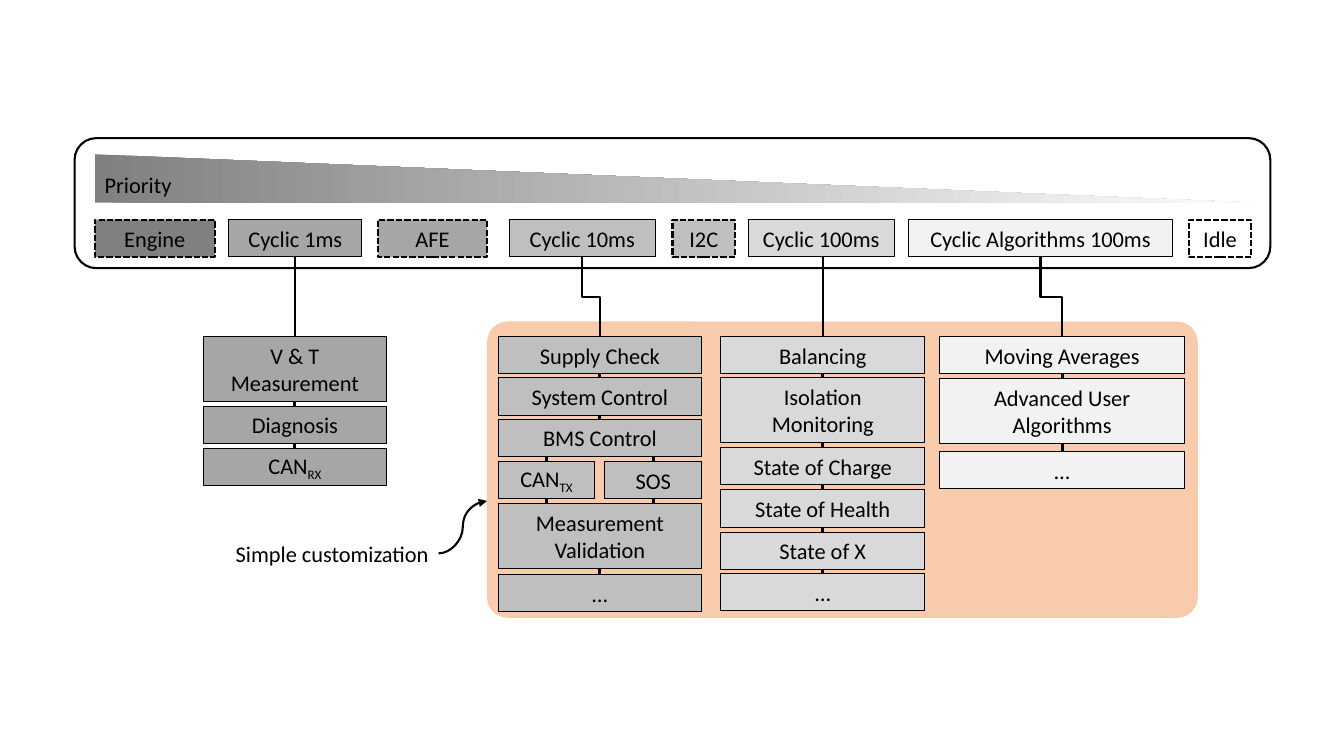
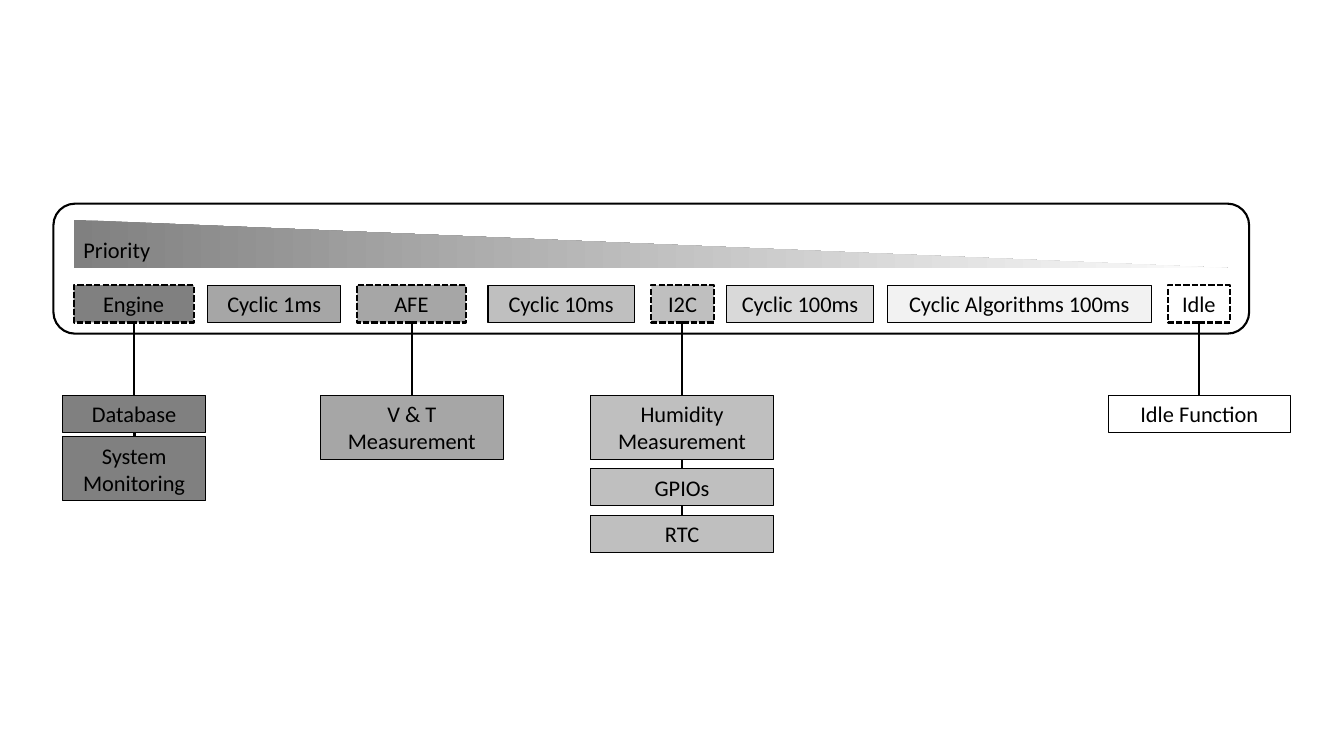
import copy
import dataclasses

import lxml.etree
import pptx
import pptx.dml.color
import pptx.enum.dml
import pptx.enum.shapes
import pptx.enum.text
import pptx.oxml.ns
import pptx.slide
import pptx.util

Inches = pptx.util.Inches
Pt = pptx.util.Pt
SHAPE = pptx.enum.shapes.MSO_SHAPE
CONNECTOR = pptx.enum.shapes.MSO_CONNECTOR
ALIGN = pptx.enum.text.PP_ALIGN
ANCHOR = pptx.enum.text.MSO_ANCHOR
qn = pptx.oxml.ns.qn

# Shared look
COLORS = {
    "ink": "000000",
    "highest": "808080",
    "high": "A6A6A6",
    "medium": "BFBFBF",
    "low": "D9D9D9",
    "lowest": "F2F2F2",
    "white": "FFFFFF",
    "custom": "F8CBAD",
}
FONT = "Calibri"
TEXT_SIZE = 16
ROW_HEIGHT = {1: 0.37, 2: 0.64}  # by number of text lines
SPLIT_GAP = 0.1


@dataclasses.dataclass(frozen=True)
class Task:
    """A task in the priority band; left is measured from the band's edge."""
    label: str
    left: float
    width: float
    color: str
    dashed: bool = False


@dataclasses.dataclass(frozen=True)
class Job:
    label: str
    subscript: str = ""
    lines: int = 1


@dataclasses.dataclass(frozen=True)
class Stack:
    """Jobs run by one task, as rows of one or more jobs."""
    task: str
    left: float
    width: float
    rows: list[list[Job]]
    gaps: tuple[float, ...] = ()
    link_width: float = 2.25


TASKS = [
    Task("Engine", 0.2, 1.19, "highest", True),
    Task("Cyclic 1ms", 1.53, 1.32, "high"),
    Task("AFE", 3.01, 1.08, "high", True),
    Task("Cyclic 10ms", 4.31, 1.45, "medium"),
    Task("I2C", 5.93, 0.62, "medium", True),
    Task("Cyclic 100ms", 6.68, 1.45, "low"),
    Task("Cyclic Algorithms 100ms", 8.27, 2.62, "lowest"),
    Task("Idle", 11.05, 0.62, "white", True),
]
TASK_BY_LABEL = {task.label: task for task in TASKS}
TASK_TOP = 0.81

CYCLIC_STACKS = [
    Stack("Cyclic 1ms", 2.02, 1.81, [
        [Job("V & T Measurement", lines=2)],
        [Job("Diagnosis")],
        [Job("CAN", "RX")],
    ]),
    Stack("Cyclic 10ms", 4.94, 2.02, [
        [Job("Supply Check")],
        [Job("System Control")],
        [Job("BMS Control")],
        [Job("CAN", "TX"), Job("SOS")],
        [Job("Measurement Validation", lines=2)],
        [Job("…")],
    ], gaps=(0.04, 0.04, 0.05, 0.05, 0.06)),
    Stack("Cyclic 100ms", 7.15, 2.02, [
        [Job("Balancing")],
        [Job("Isolation Monitoring", lines=2)],
        [Job("State of Charge")],
        [Job("State of Health")],
        [Job("State of X")],
        [Job("…")],
    ], gaps=(0.04, 0.05, 0.05, 0.05, 0.04)),
    Stack("Cyclic Algorithms 100ms", 9.32, 2.43, [
        [Job("Moving Averages")],
        [Job("Advanced User Algorithms", lines=2)],
        [Job("…")],
    ], gaps=(0.05, 0.08)),
]

EVENT_STACKS = [
    Stack("Engine", 0.62, 1.42, [
        [Job("Database")],
        [Job("System Monitoring", lines=2)],
    ], gaps=(0.04,)),
    Stack("AFE", 3.18, 1.81, [[Job("V & T Measurement", lines=2)]]),
    Stack("I2C", 5.86, 1.81, [
        [Job("Humidity Measurement", lines=2)],
        [Job("GPIOs")],
        [Job("RTC")],
    ], gaps=(0.09, 0.09), link_width=1.25),
    Stack("Idle", 10.99, 1.81, [[Job("Idle Function")]]),
]


def rgb(color: str) -> pptx.dml.color.RGBColor:
    return pptx.dml.color.RGBColor.from_string(COLORS[color])


def write(shape, text: str, align, anchor, subscript: str = "") -> None:
    frame = shape.text_frame
    frame.word_wrap = True
    frame.vertical_anchor = anchor
    paragraph = frame.paragraphs[0]
    paragraph.alignment = align
    for part, baseline in ((text, 0), (subscript, -25000)):
        if not part:
            continue
        run = paragraph.add_run()
        run.text = part
        run.font.name = FONT
        run.font.size = Pt(TEXT_SIZE)
        run.font.color.rgb = rgb("ink")
        if baseline:
            run.font._element.set("baseline", str(baseline))


def add_block(slide: pptx.slide.Slide, kind, left: float, top: float, width: float,
              height: float, fill: str = "", line_width: float = 0):
    block = slide.shapes.add_shape(
        kind, Inches(left), Inches(top), Inches(width), Inches(height))
    block.shadow.inherit = False
    if fill:
        block.fill.solid()
        block.fill.fore_color.rgb = rgb(fill)
    else:
        block.fill.background()
    if line_width:
        block.line.color.rgb = rgb("ink")
        block.line.width = Pt(line_width)
    else:
        block.line.fill.background()
    return block


def add_line(slide: pptx.slide.Slide, kind, x1: float, y1: float, x2: float,
             y2: float, width: float):
    line = slide.shapes.add_connector(kind, Inches(x1), Inches(y1), Inches(x2), Inches(y2))
    line.line.color.rgb = rgb("ink")
    line.line.width = Pt(width)
    lxml.etree.SubElement(line._element.spPr, qn("a:effectLst"))
    return line


def add_drop(slide: pptx.slide.Slide, x1: float, y1: float, x2: float, y2: float,
             width: float) -> None:
    """Link a task down to its stack, with a vertical-first elbow if they are offset."""
    if abs(x2 - x1) < 0.05:
        add_line(slide, CONNECTOR.STRAIGHT, x2, y1, x2, y2, width)
        return
    mid_x, mid_y = (x1 + x2) / 2, (y1 + y2) / 2
    half_run, half_rise = (y2 - y1) / 2, (x2 - x1) / 2
    elbow = add_line(slide, CONNECTOR.ELBOW, mid_x - half_run, mid_y - half_rise,
                     mid_x + half_run, mid_y + half_rise, width)
    xfrm = elbow._element.spPr.find(qn("a:xfrm"))
    xfrm.set("rot", "16200000")
    xfrm.set("flipH", "1")


def add_priority_band(slide: pptx.slide.Slide, left: float, top: float) -> None:
    add_block(slide, SHAPE.ROUNDED_RECTANGLE, left, top, 11.86, 1.29, line_width=1.5)

    # Wedge fading from high to low priority
    wedge = add_block(slide, SHAPE.ISOSCELES_TRIANGLE, left + 0.2, top + 0.16, 11.47, 0.48)
    wedge.adjustments[0] = 0
    wedge.fill.gradient()
    wedge.fill.gradient_angle = 0
    start, end = wedge.fill.gradient_stops
    start.color.rgb, start.position = rgb("highest"), 0
    end.color.rgb, end.position = rgb("lowest"), 0.9
    stop_list = wedge._element.spPr.find(qn("a:gradFill")).find(qn("a:gsLst"))
    stop_list.append(copy.deepcopy(stop_list[-1]))
    last = wedge.fill.gradient_stops[2]
    last.color.rgb, last.position = rgb("white"), 1
    write(wedge, "Priority", ALIGN.LEFT, ANCHOR.BOTTOM)

    for task in TASKS:
        box = add_block(slide, SHAPE.RECTANGLE, left + task.left, top + TASK_TOP,
                        task.width, ROW_HEIGHT[1], task.color, 1.5 if task.dashed else 0.75)
        if task.dashed:
            box.line.dash_style = pptx.enum.dml.MSO_LINE.SQUARE_DOT
        write(box, task.label, ALIGN.CENTER, ANCHOR.MIDDLE)


def row_cells(stack: Stack, row: list[Job]) -> list[tuple[float, float]]:
    """Left edge and width of each job in a row."""
    width = (stack.width - SPLIT_GAP * (len(row) - 1)) / len(row)
    return [(stack.left + i * (width + SPLIT_GAP), width) for i in range(len(row))]


def add_stack(slide: pptx.slide.Slide, stack: Stack, top: float) -> None:
    above: list[Job] = []
    bottom = top
    for index, row in enumerate(stack.rows):
        if above:
            gap = stack.gaps[index - 1] if stack.gaps else 0.05
            top = bottom + gap
            for left, width in row_cells(stack, max(above, row, key=len)):
                center = left + width / 2
                add_line(slide, CONNECTOR.STRAIGHT, center, bottom, center, top,
                         stack.link_width)
        height = ROW_HEIGHT[max(job.lines for job in row)]
        for job, (left, width) in zip(row, row_cells(stack, row)):
            box = add_block(slide, SHAPE.RECTANGLE, left, top, width, height,
                            TASK_BY_LABEL[stack.task].color, 0.75)
            write(box, job.label, ALIGN.CENTER, ANCHOR.MIDDLE, job.subscript)
        above, bottom = row, top + height


def add_schedule(slide: pptx.slide.Slide, left: float, top: float, stacks: list[Stack],
                 stacks_top: float, drop_width: float) -> None:
    add_priority_band(slide, left, top)
    for stack in stacks:
        task = TASK_BY_LABEL[stack.task]
        add_drop(slide, left + task.left + task.width / 2, top + TASK_TOP + ROW_HEIGHT[1],
                 stack.left + stack.width / 2, stacks_top, drop_width)
        add_stack(slide, stack, stacks_top)


def add_customization(slide: pptx.slide.Slide) -> None:
    panel = add_block(slide, SHAPE.ROUNDED_RECTANGLE, 4.83, 3.19, 7.05, 2.94, "custom")
    panel.adjustments[0] = 0.07
    caption = slide.shapes.add_textbox(Inches(1.88), Inches(5.31), Inches(2.47), Inches(0.37))
    write(caption, "Simple customization", ALIGN.RIGHT, ANCHOR.TOP)
    arrow = add_line(slide, CONNECTOR.CURVE, 4.35, 5.49, 4.83, 4.97, 1.5)
    outline = arrow._element.spPr.find(qn("a:ln"))
    lxml.etree.SubElement(outline, qn("a:tailEnd"), type="triangle")


def main() -> None:
    deck = pptx.Presentation()
    deck.slide_width, deck.slide_height = Inches(13.33), Inches(7.5)
    blank = deck.slide_layouts[6]

    # Cyclic tasks
    cyclic = deck.slides.add_slide(blank)
    add_customization(cyclic)
    add_schedule(cyclic, 0.74, 1.37, CYCLIC_STACKS, 3.34, 1.5)

    # Engine, event and idle tasks
    events = deck.slides.add_slide(blank)
    add_schedule(events, 0.53, 2.02, EVENT_STACKS, 3.92, 1.25)

    deck.save("out.pptx")


if __name__ == "__main__":
    main()
